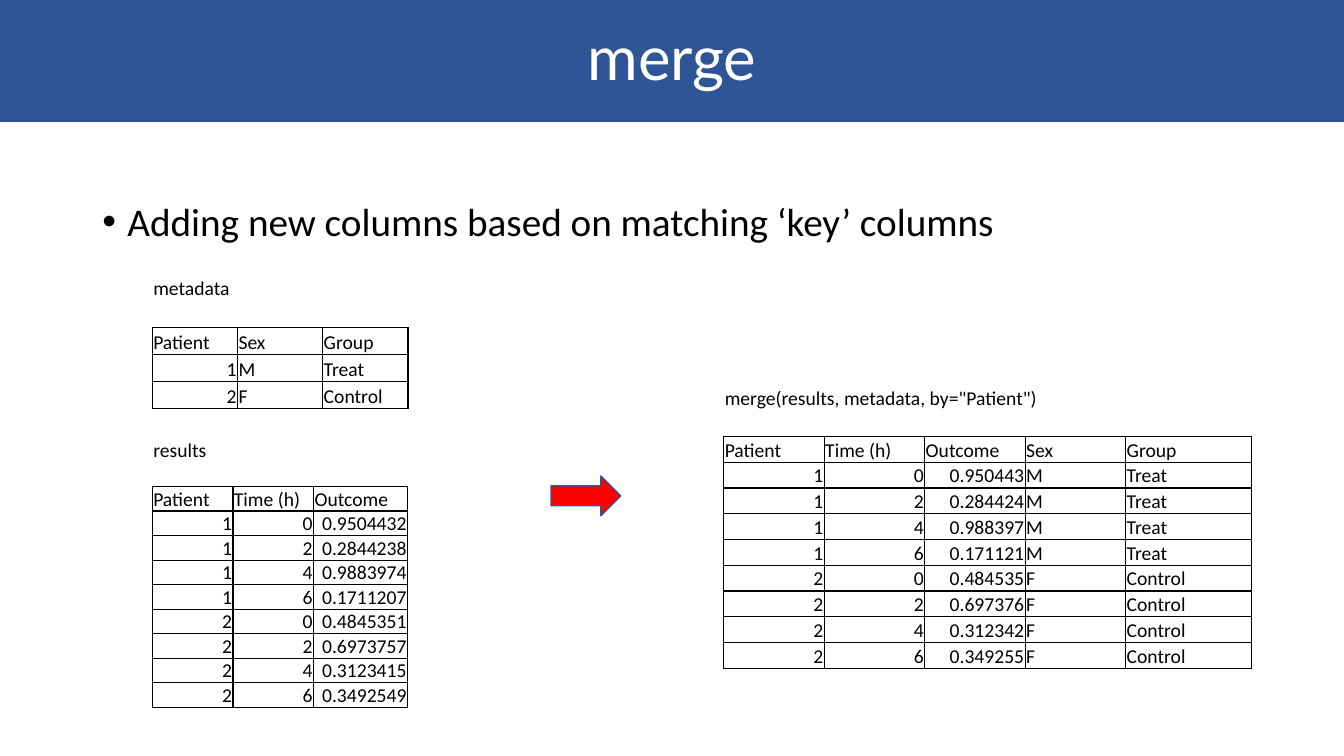
from lxml import etree
from pptx import Presentation
from pptx.dml.color import RGBColor
from pptx.enum import shapes, text
from pptx.oxml.ns import qn
from pptx.util import Pt

BLUE = RGBColor(0x2F, 0x55, 0x97)
EDGE = RGBColor(0x32, 0x54, 0x91)
RED = RGBColor(0xFF, 0x00, 0x00)
WHITE = RGBColor(0xFF, 0xFF, 0xFF)
BLACK = RGBColor(0x00, 0x00, 0x00)

METADATA = [("1", "M", "Treat"), ("2", "F", "Control")]
RESULTS = [
    ("1", "0", "0.9504432"), ("1", "2", "0.2844238"),
    ("1", "4", "0.9883974"), ("1", "6", "0.1711207"),
    ("2", "0", "0.4845351"), ("2", "2", "0.6973757"),
    ("2", "4", "0.3123415"), ("2", "6", "0.3492549"),
]


def add_run(p, words, size, color, font="Calibri"):
    r = p.add_run()
    r.text = words
    r.font.size, r.font.name = Pt(size), font
    r.font.color.rgb = color


def six_places(value):
    """Round a seven-place value half up."""
    return f"{float(value) + 1e-9:.6f}"


def merge_rows(results, metadata):
    details = {patient: rest for patient, *rest in metadata}
    return [(patient, time, six_places(outcome), *details[patient])
            for patient, time, outcome in results]


def add_title(s, x, y, w, h):
    sp = s.shapes.add_shape(shapes.MSO_SHAPE.RECTANGLE, Pt(x), Pt(y), Pt(w), Pt(h))
    sp.shadow.inherit = False
    sp.fill.solid()
    sp.fill.fore_color.rgb = BLUE
    sp.line.fill.background()
    tf = sp.text_frame
    tf.vertical_anchor = text.MSO_ANCHOR.MIDDLE
    p = tf.paragraphs[0]
    p.alignment, p.line_spacing = text.PP_ALIGN.CENTER, 0.9
    add_run(p, "merge", 44, WHITE, "Lato")


def add_bullet(s, x, y, w, h):
    tf = s.shapes.add_textbox(Pt(x), Pt(y), Pt(w), Pt(h)).text_frame
    tf.word_wrap = True
    p = tf.paragraphs[0]
    p.line_spacing = 0.9
    pPr = p._p.get_or_add_pPr()
    pPr.set("marL", str(Pt(18)))
    pPr.set("indent", str(-Pt(18)))
    etree.SubElement(pPr, qn("a:buFont")).set("typeface", "Arial")
    etree.SubElement(pPr, qn("a:buChar")).set("char", "•")
    add_run(p, "Adding new columns based on matching ‘key’ columns", 28, BLACK)


def add_arrow(s, x, y, w, h):
    sp = s.shapes.add_shape(shapes.MSO_SHAPE.RIGHT_ARROW, Pt(x), Pt(y), Pt(w), Pt(h))
    sp.shadow.inherit = False
    sp.fill.solid()
    sp.fill.fore_color.rgb = RED
    sp.line.color.rgb, sp.line.width = EDGE, Pt(1)


def set_borders(cell, drawn):
    """Draw the named sides in black and clear the others."""
    tcPr = cell._tc.get_or_add_tcPr()
    for i, side in enumerate("LRTB"):
        ln = etree.Element(qn(f"a:ln{side}"), w=str(Pt(1)))
        if side in drawn:
            fill = etree.SubElement(ln, qn("a:solidFill"))
            etree.SubElement(fill, qn("a:srgbClr")).set("val", str(BLACK))
        else:
            etree.SubElement(ln, qn("a:noFill"))
        tcPr.insert(i, ln)


def add_data_table(s, x, y, widths, row_h, caption, header, rows, caption_span=1):
    # A caption row and an empty row stand above the ruled grid
    blank = [""] * len(header)
    grid = [[caption] + blank[1:], blank, header, *rows]
    frame = s.shapes.add_table(len(grid), len(header), Pt(x), Pt(y),
                               Pt(sum(widths)), Pt(row_h * len(grid)))
    table = frame.table
    table.first_row = table.horz_banding = False
    for column, width in zip(table.columns, widths):
        column.width = Pt(width)
    for i, values in enumerate(grid):
        table.rows[i].height = Pt(row_h)
        for j, value in enumerate(values):
            cell = table.cell(i, j)
            cell.fill.background()
            set_borders(cell, ("", "B")[i] if i < 2 else "LRTB")
            cell.vertical_anchor = text.MSO_ANCHOR.BOTTOM
            cell.margin_left = cell.margin_right = cell.margin_top = Pt(0.7)
            cell.margin_bottom = 0
            p = cell.text_frame.paragraphs[0]
            if value:
                add_run(p, value, 14, BLACK)
            else:
                p._p.get_or_add_endParaRPr().set("sz", "1400")
            if value[:1].isdigit():
                p.alignment = text.PP_ALIGN.RIGHT
    if caption_span > 1:
        table.cell(0, 0).merge(table.cell(0, caption_span - 1))


def main():
    prs = Presentation()
    prs.slide_width, prs.slide_height = Pt(960), Pt(540)
    s = prs.slides.add_slide(prs.slide_layouts[6])

    add_title(s, 0, 0, 960, 87)
    add_bullet(s, 66, 141, 828, 343)
    add_arrow(s, 393.6, 340, 49.8, 28.4)

    # Source tables on the left, merged table on the right
    add_data_table(s, 108.8, 195.5, [60.9] * 3, 19.3, "metadata",
                   ["Patient", "Sex", "Group"], METADATA)
    add_data_table(s, 108.8, 312.5, [57.6, 57.6, 67.2], 17.4, "results",
                   ["Patient", "Time (h)", "Outcome"], RESULTS)
    add_data_table(s, 517, 275, [71.8] * 4 + [90], 18.4,
                   'merge(results, metadata, by="Patient")',
                   ["Patient", "Time (h)", "Outcome", "Sex", "Group"],
                   merge_rows(RESULTS, METADATA), caption_span=4)

    prs.save("out.pptx")


if __name__ == "__main__":
    main()
